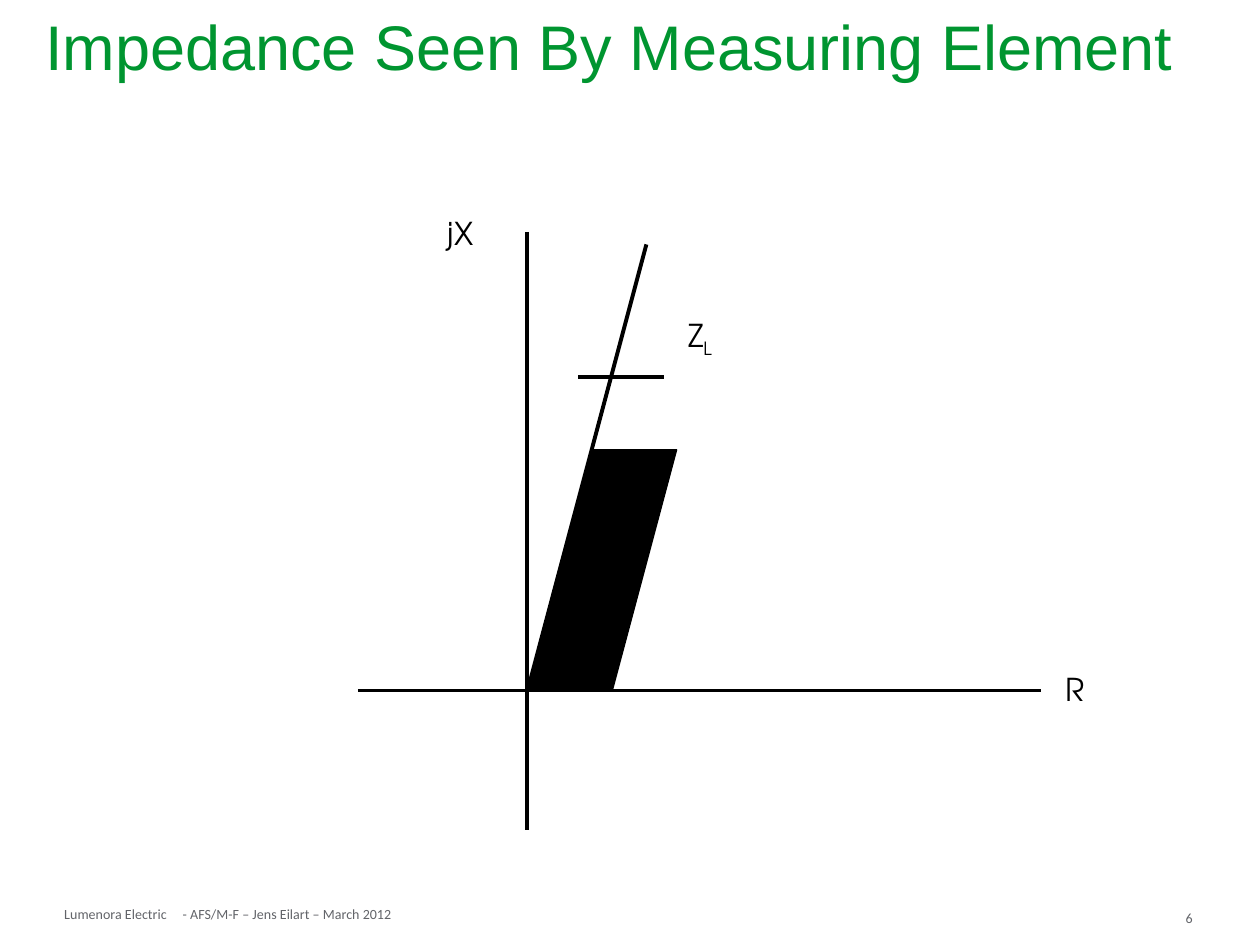
import pptx
import pptx.util
import pptx.dml.color
import pptx.enum.shapes
import pptx.enum.text
import pptx.oxml.ns
import lxml.etree

Inches, Pt = pptx.util.Inches, pptx.util.Pt
ALIGN = pptx.enum.text.PP_ALIGN
ANCHOR = pptx.enum.text.MSO_ANCHOR
BLACK, GREEN, GREY = "000000", "009530", "626469"
LABEL = "TeX Gyre Adventor"


def color(code):
    """Turn a hex string into a colour."""
    return pptx.dml.color.RGBColor.from_string(code)


def add_text(text, box, font, size, code, align=ALIGN.LEFT, inset=0.0, wrap=False):
    """Add a one-line text box and return its paragraph."""
    frame = slide.shapes.add_textbox(*map(Inches, box)).text_frame
    frame.margin_left = frame.margin_right = Inches(inset)
    frame.margin_top = frame.margin_bottom = Inches(inset / 2)
    frame.word_wrap = wrap
    line = frame.paragraphs[0]
    line.text = text
    line.alignment = align
    line.font.name = font
    line.font.size = Pt(size)
    line.font.color.rgb = color(code)
    return line


deck = pptx.Presentation()
deck.slide_width, deck.slide_height = Inches(10), Inches(7.5)
slide = deck.slides.add_slide(deck.slide_layouts[6])

# Footer
for text, box in [
    ("Lumenora Electric", (0.51, 7.19, 0.88, 0.13)),
    ("- AFS/M-F – Jens Eilart – March 2012", (1.45, 7.19, 1.75, 0.13)),
    ("6", (9.41, 7.22, 0.32, 0.08)),
]:
    add_text(text, box, "Calibri", 8, GREY)

# Title
title = add_text("Impedance Seen By Measuring Element", (0.26, 0.08, 9.44, 0.64),
                 "Arial", 36, GREEN, inset=0.1, wrap=True)
title.line_spacing = 0.9
slide.shapes[-1].text_frame.vertical_anchor = ANCHOR.MIDDLE

# Axes, line impedance and its reach mark
for x1, y1, x2, y2 in [
    (2.84, 5.48, 8.26, 5.48),
    (4.18, 1.84, 4.18, 6.59),
    (5.13, 1.94, 4.19, 5.47),
    (4.59, 2.99, 5.27, 2.99),
]:
    line = slide.shapes.add_connector(
        pptx.enum.shapes.MSO_CONNECTOR.STRAIGHT,
        Inches(x1), Inches(y1), Inches(x2), Inches(y2))
    line.line.color.rgb = color(BLACK)
    line.line.width = Pt(2.25)
    lxml.etree.SubElement(line.element.spPr, pptx.oxml.ns.qn("a:effectLst"))

# Fault zone
zone = [(4.19, 5.47), (4.86, 5.48), (5.37, 3.57), (4.7, 3.57)]
points = [(Inches(x), Inches(y)) for x, y in zone]
outline = slide.shapes.build_freeform(*points[0])
outline.add_line_segments(points[1:], close=True)
area = outline.convert_to_shape()
area.shadow.inherit = False
area.fill.solid()
area.fill.fore_color.rgb = color(BLACK)
area.line.color.rgb = color(BLACK)
area.line.width = Pt(0)

# Labels
for text, low, box in [
    ("jX", "", (3.34, 1.65, 0.63, 0.5)),
    ("Z", "L", (5.29, 2.46, 0.53, 0.5)),
    ("R", "", (8.31, 5.27, 0.44, 0.5)),
]:
    label = add_text(text, box, LABEL, 18, BLACK, ALIGN.CENTER, 0.1)
    if low:
        run = label.add_run()
        run.text = low
        run.font._element.set("baseline", "-25000")

deck.save("out.pptx")
